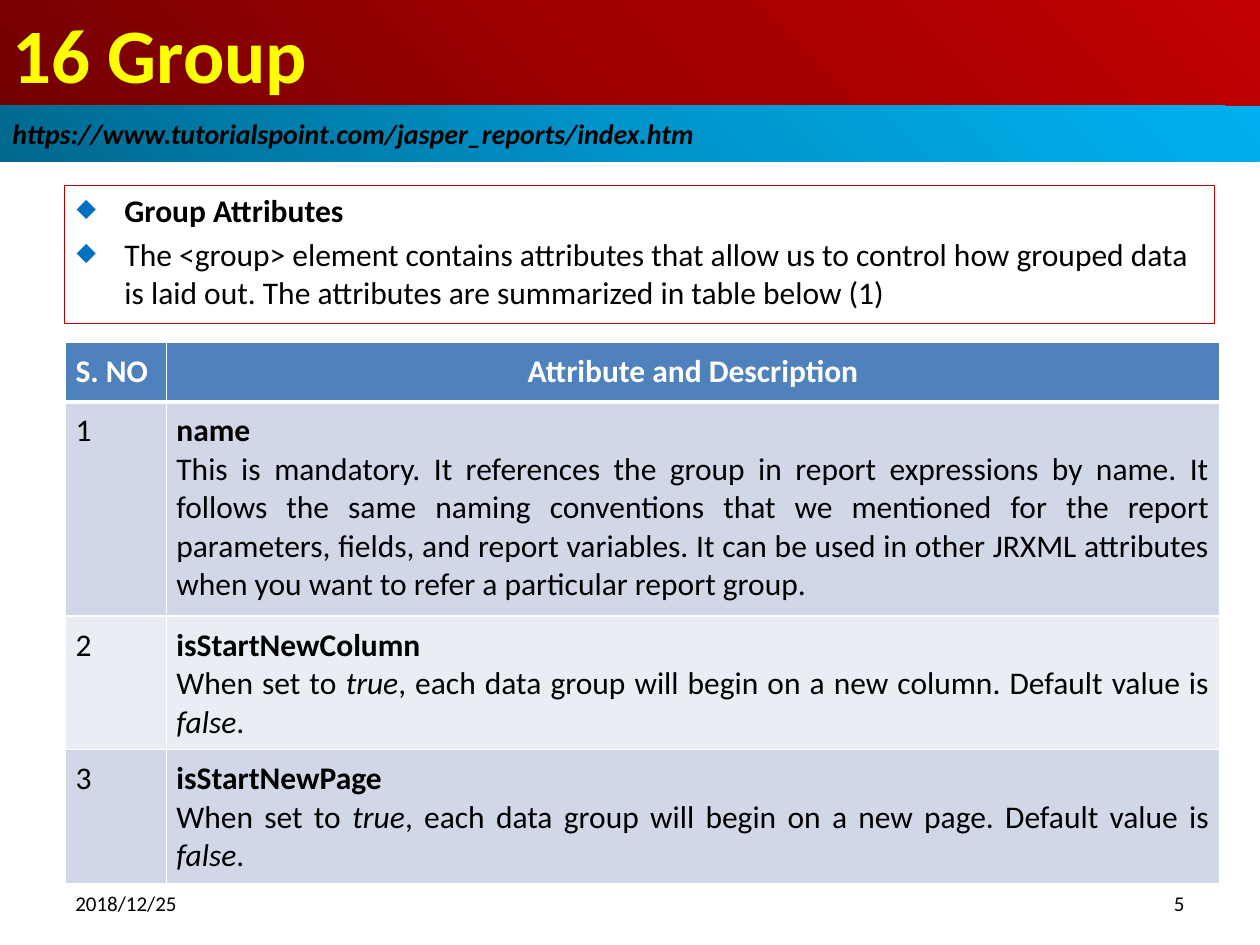
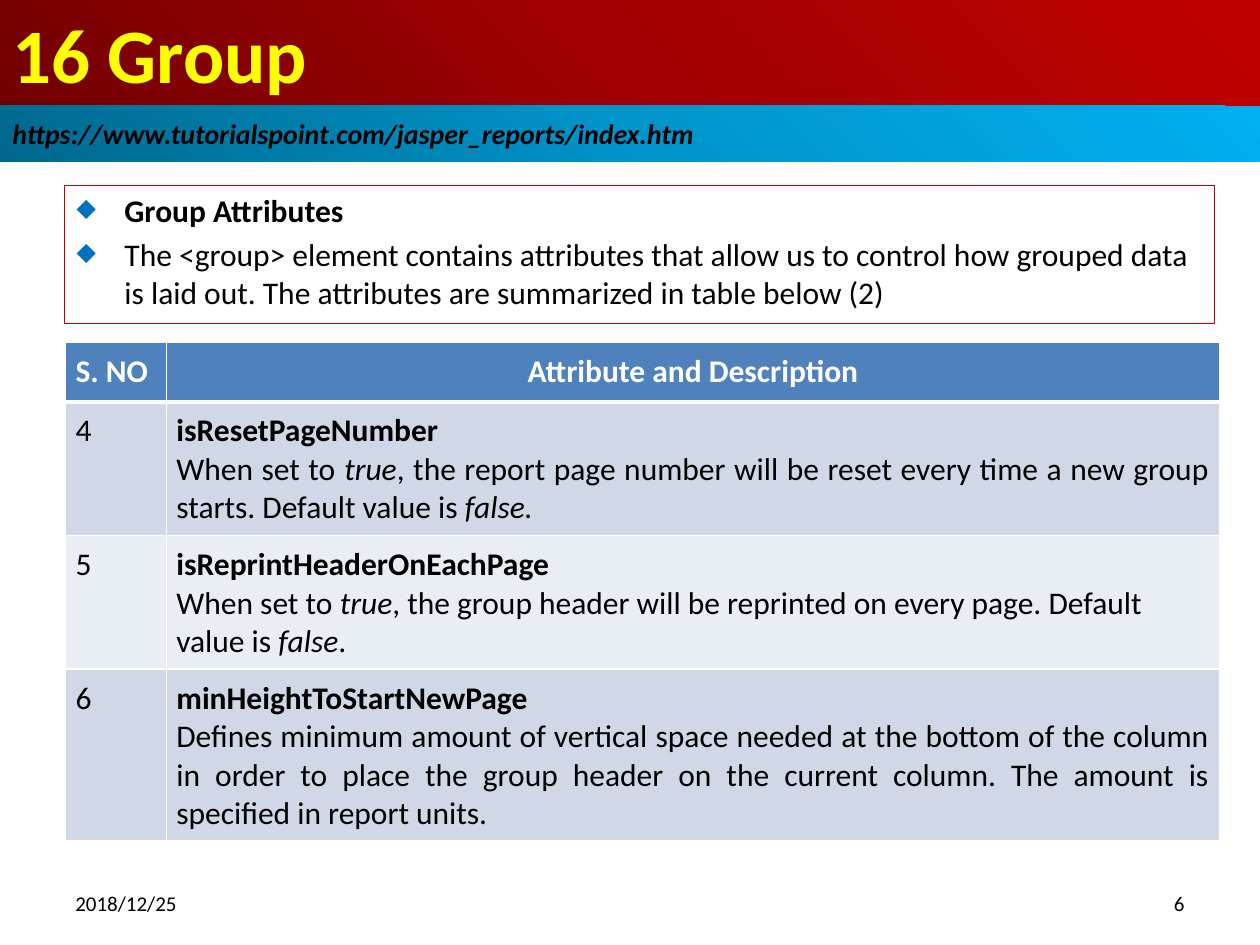
"""Build two slides that tabulate the attributes of the report group element."""
from lxml import etree
from pptx import Presentation
from pptx.dml.color import RGBColor
from pptx.enum import shapes, text
from pptx.oxml import parse_xml
from pptx.oxml.ns import nsdecls, qn
from pptx.util import Inches, Pt

TITLE = "16 Group"
URL = "https://www.tutorialspoint.com/jasper_reports/index.htm"
DATE = "2018/12/25"
INTRO = ("The <group> element contains attributes that allow us to control how grouped data "
         "is laid out. The attributes are summarized in table below ({})")
HEADERS = ["S. NO", "Attribute and Description"]
LEFT, CENTER, RIGHT, JUSTIFY = (text.PP_ALIGN.LEFT, text.PP_ALIGN.CENTER,
                                text.PP_ALIGN.RIGHT, text.PP_ALIGN.JUSTIFY)

PAGES = [
    [("name", JUSTIFY, 1.7,
      "This is mandatory. It references the group in report expressions by name. It follows "
      "the same naming conventions that we mentioned for the report parameters, fields, and "
      "report variables. It can be used in other JRXML attributes when you want to refer a "
      "particular report group."),
     ("isStartNewColumn", JUSTIFY, 1.02,
      "When set to *true*, each data group will begin on a new column. "
      "Default value is *false*."),
     ("isStartNewPage", JUSTIFY, 1.02,
      "When set to *true*, each data group will begin on a new page. "
      "Default value is *false*.")],
    [("isResetPageNumber", JUSTIFY, 0.99,
      "When set to *true*, the report page number will be reset every time a new group "
      "starts. Default value is *false.*"),
     ("isReprintHeaderOnEachPage", LEFT, 0.99,
      "When set to *true*, the group header will be reprinted on every page. "
      "Default value is *false*."),
     ("minHeightToStartNewPage", JUSTIFY, 0.99,
      "Defines minimum amount of vertical space needed at the bottom of the column in order "
      "to place the group header on the current column. The amount is specified in report "
      "units.")],
]


def rgb(value):
    """Turn a hex string into a colour."""
    return RGBColor.from_string(value)


class Deck:
    """Holds the style and the current slide."""

    font = "Calibri"
    black, white, yellow, red, bullet = "000000", "FFFFFF", "FFFF00", "C00000", "0070C0"
    title_stops = ["720000", "A20000", "C00000"]
    url_stops = ["00688E", "0094CA", "00B0F0"]
    header_fill, row_fills = "4F81BD", ["D0D8E8", "E9EDF4"]

    def __init__(self):
        """Open an empty 4:3 presentation."""
        self.prs = Presentation()
        self.prs.slide_width, self.prs.slide_height = Inches(10), Inches(7.5)
        self.slide = None

    def new_slide(self):
        """Add a blank slide and make it current."""
        self.slide = self.prs.slides.add_slide(self.prs.slide_layouts[6])

    def run(self, p, words, size=18, color=black, bold=False, italic=False):
        """Add one styled run to a paragraph."""
        r = p.add_run()
        r.text = words
        r.font.name, r.font.size = self.font, Pt(size)
        r.font.bold, r.font.italic = bold, italic
        r.font.color.rgb = rgb(color)

    def rect(self, x, y, w, h):
        """Add a plain rectangle with left-aligned, wrapped text."""
        sp = self.slide.shapes.add_shape(
            shapes.MSO_SHAPE.RECTANGLE, Inches(x), Inches(y), Inches(w), Inches(h))
        sp.shadow.inherit = False
        sp.fill.background()
        sp.line.fill.background()
        sp.text_frame.word_wrap = True
        sp.text_frame.paragraphs[0].alignment = LEFT
        return sp

    def band(self, y, h, stops, words, **style):
        """Add a full-width band with a radial gradient from the lower left."""
        sp = self.rect(0, y, 10, h)
        colors = "".join(f'<a:gs pos="{i * 50000}"><a:srgbClr val="{c}"/></a:gs>'
                         for i, c in enumerate(stops))
        grad = parse_xml(
            f'<a:gradFill {nsdecls("a")} rotWithShape="1"><a:gsLst>{colors}</a:gsLst>'
            '<a:path path="circle"><a:fillToRect t="100000" r="100000"/></a:path></a:gradFill>')
        props = sp._element.spPr
        props.replace(props.find(qn("a:noFill")), grad)
        tf = sp.text_frame
        tf.vertical_anchor = text.MSO_ANCHOR.MIDDLE
        self.run(tf.paragraphs[0], words, bold=True, **style)

    def bullets(self, items):
        """Add the outlined box of diamond bullets, the first one bold."""
        sp = self.rect(0.51, 1.47, 9.13, 1.1)
        sp.line.color.rgb, sp.line.width = rgb(self.red), Pt(0.75)
        tf = sp.text_frame
        tf.vertical_anchor = text.MSO_ANCHOR.TOP
        for i, item in enumerate(items):
            p = tf.add_paragraph() if i else tf.paragraphs[0]
            p.alignment = LEFT
            pPr = p._p.get_or_add_pPr()
            pPr.set("marL", str(Inches(0.38)))
            pPr.set("indent", str(-Inches(0.38)))
            color = etree.SubElement(pPr, qn("a:buClr"))
            etree.SubElement(color, qn("a:srgbClr"), val=self.bullet)
            etree.SubElement(pPr, qn("a:buSzPct"), val="80000")
            etree.SubElement(pPr, qn("a:buChar"), char="◆")
            if i:
                p.space_before = Pt(3.6)
            self.run(p, item, bold=i == 0)

    def footer(self, x, words, align):
        """Add one footer text."""
        tf = self.slide.shapes.add_textbox(
            Inches(x), Inches(6.95), Inches(2.33), Inches(0.44)).text_frame
        tf.word_wrap = True
        tf.vertical_anchor = text.MSO_ANCHOR.MIDDLE
        p = tf.paragraphs[0]
        p.alignment = align
        self.run(p, words, size=12)

    def cell(self, cell, fill, bottom=1):
        """Set a cell's margins, white borders and fill, and return its first paragraph."""
        cell.margin_left = cell.margin_right = Inches(0.08)
        cell.margin_top = cell.margin_bottom = Inches(0.08)
        tcPr = cell._tc.get_or_add_tcPr()
        for side, width in zip("LRTB", (1, 1, 1, bottom)):
            ln = etree.SubElement(tcPr, qn(f"a:ln{side}"), w=str(Pt(width)))
            solid = etree.SubElement(ln, qn("a:solidFill"))
            etree.SubElement(solid, qn("a:srgbClr"), val=self.white)
        cell.fill.solid()
        cell.fill.fore_color.rgb = rgb(fill)
        return cell.text_frame.paragraphs[0]

    def table(self, rows, first):
        """Add the attribute table, numbering its rows from first."""
        heights = [0.47] + [row[2] for row in rows]
        table = self.slide.shapes.add_table(
            len(heights), 2, Inches(0.52), Inches(2.72), Inches(9.16),
            Inches(sum(heights))).table
        for column, width in zip(table.columns, (0.8, 8.36)):
            column.width = Inches(width)
        for row, height in zip(table.rows, heights):
            row.height = Inches(height)
        for i, (words, align) in enumerate(zip(HEADERS, (LEFT, CENTER))):
            p = self.cell(table.cell(0, i), self.header_fill, bottom=3)
            p.alignment = align
            self.run(p, words, color=self.white, bold=True)
        for i, (name, align, _, description) in enumerate(rows):
            fill = self.row_fills[i % 2]
            self.run(self.cell(table.cell(i + 1, 0), fill), str(first + i))
            cell = table.cell(i + 1, 1)
            p = self.cell(cell, fill)
            p.alignment = JUSTIFY
            self.run(p, name, bold=True)
            p = cell.text_frame.add_paragraph()
            p.alignment = align
            for j, part in enumerate(description.split("*")):
                if part:
                    self.run(p, part, italic=j % 2 == 1)


def main():
    """Build and save both slides."""
    deck = Deck()
    for i, rows in enumerate(PAGES):
        deck.new_slide()
        deck.band(0, 0.84, deck.title_stops, TITLE, size=44, color=deck.yellow)
        deck.bullets(["Group Attributes", INTRO.format(i + 1)])
        deck.band(0.84, 0.44, deck.url_stops, URL, size=16, italic=True)
        deck.footer(0.5, DATE, LEFT)
        deck.footer(7.17, str(i + 5), RIGHT)
        deck.table(rows, first=3 * i + 1)
    deck.prs.save("out.pptx")


if __name__ == "__main__":
    main()
